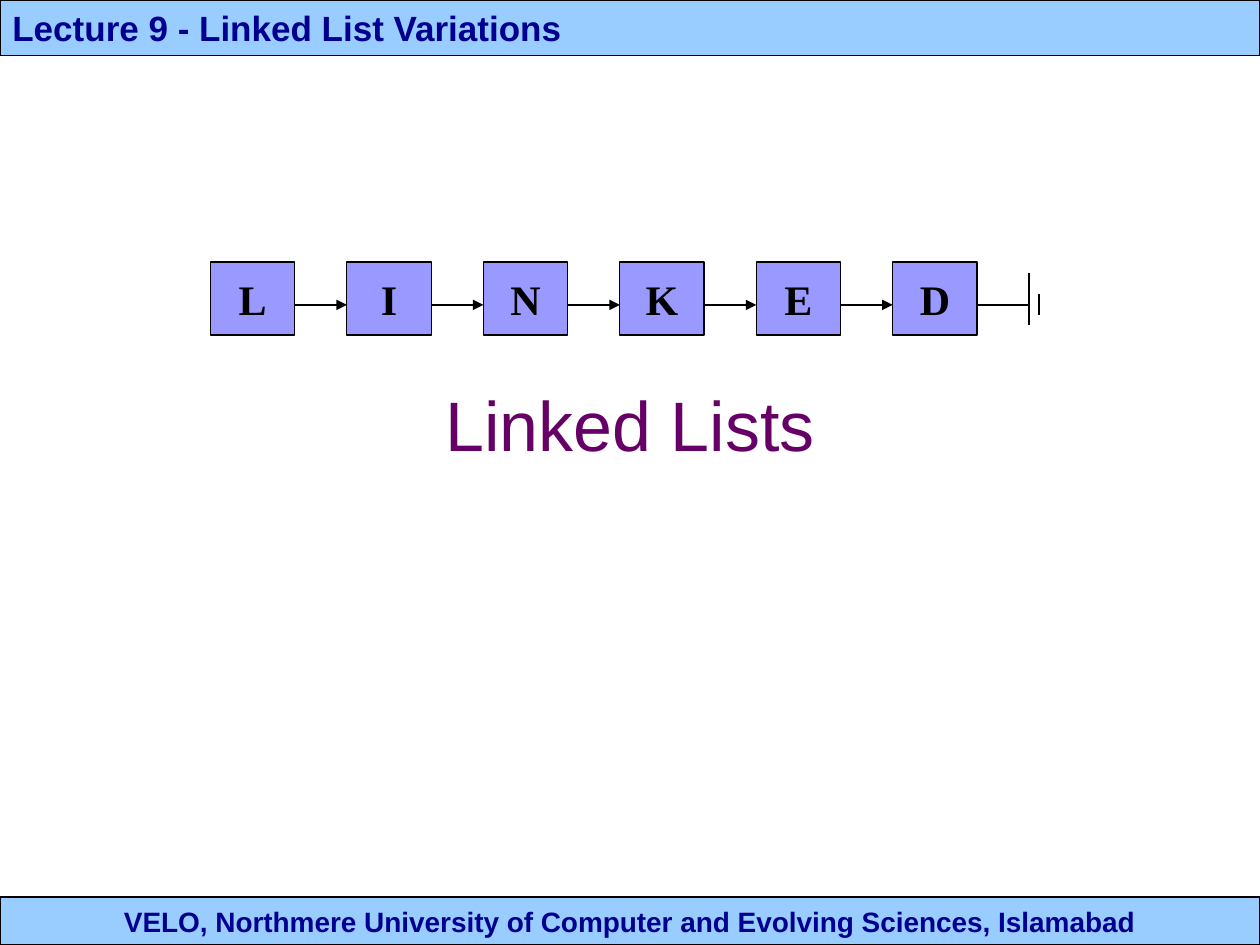
from dataclasses import dataclass

from lxml import etree
from pptx import Presentation
from pptx.dml.color import RGBColor
from pptx.enum import shapes, text
from pptx.oxml import ns
from pptx.util import Inches, Pt

BLACK = RGBColor(0x00, 0x00, 0x00)
NAVY = RGBColor(0x00, 0x00, 0x90)
SKY = RGBColor(0x99, 0xCC, 0xFF)
LILAC = RGBColor(0x99, 0x99, 0xFF)
PURPLE = RGBColor(0x66, 0x00, 0x66)

WORD = "LINKED"
NODE_X, NODE_Y, NODE_W, NODE_H = 1.67, 2.08, 0.67, 0.58
PITCH = 1.083
LINK_Y = 2.42
LINK_LEN = PITCH - NODE_W


@dataclass
class Style:
    size: int
    color: RGBColor
    font: str = "Arial"
    bold: bool = True
    align: text.PP_ALIGN = text.PP_ALIGN.CENTER


@dataclass
class Box:
    x: float
    y: float
    w: float
    h: float
    label: str
    style: Style
    fill: RGBColor
    wrap: bool = True


@dataclass
class Line:
    x1: float
    y1: float
    x2: float
    y2: float
    width: float = 1
    arrow: bool = False


def set_text(sp, label: str, style: Style, wrap: bool = True) -> None:
    tf = sp.text_frame
    tf.word_wrap = wrap
    tf.vertical_anchor = text.MSO_ANCHOR.MIDDLE
    tf.text = label
    p = tf.paragraphs[0]
    p.alignment = style.align
    font = p.runs[0].font
    font.name, font.size, font.bold = style.font, Pt(style.size), style.bold
    font.color.rgb = style.color


def draw_box(parent, box: Box) -> None:
    sp = parent.add_shape(
        shapes.MSO_SHAPE.RECTANGLE,
        Inches(box.x), Inches(box.y), Inches(box.w), Inches(box.h),
    )
    sp.shadow.inherit = False
    sp.fill.solid()
    sp.fill.fore_color.rgb = box.fill
    sp.line.color.rgb = BLACK
    sp.line.width = Pt(0.75)
    set_text(sp, box.label, box.style, box.wrap)


def draw_line(parent, line: Line) -> None:
    cn = parent.add_connector(
        shapes.MSO_CONNECTOR.STRAIGHT,
        Inches(line.x1), Inches(line.y1), Inches(line.x2), Inches(line.y2),
    )
    cn.line.color.rgb = BLACK
    cn.line.width = Pt(line.width)
    if line.arrow:
        ln = cn.line._get_or_add_ln()
        etree.SubElement(ln, ns.qn("a:tailEnd"), type="triangle")
    etree.SubElement(cn._element.spPr, ns.qn("a:effectLst"))


def draw_linked_list(parent) -> None:
    style = Style(24, BLACK, "Times New Roman")
    for i, letter in enumerate(WORD):
        x = NODE_X + i * PITCH
        last = i == len(WORD) - 1
        draw_box(parent, Box(x, NODE_Y, NODE_W, NODE_H, letter, style, LILAC, False))
        start = x + NODE_W
        draw_line(parent, Line(start, LINK_Y, start + LINK_LEN, LINK_Y,
                               1 if last else 0.75, not last))
    end = NODE_X + len(WORD) * PITCH
    draw_line(parent, Line(end, 2.17, end, 2.58))
    draw_line(parent, Line(end + 0.08, 2.33, end + 0.08, 2.5))


def main() -> None:
    prs = Presentation()
    prs.slide_width, prs.slide_height = Inches(10), Inches(7.5)
    s = prs.slides.add_slide(prs.slide_layouts[6])

    draw_box(s.shapes, Box(
        0, 7.12, 10, 0.38,
        "VELO, Northmere University of Computer and Evolving Sciences, Islamabad",
        Style(16, NAVY), SKY))
    draw_box(s.shapes, Box(
        0, 0, 10, 0.44, "Lecture 9 - Linked List Variations",
        Style(20, NAVY, align=text.PP_ALIGN.LEFT), SKY))

    title = s.shapes.add_textbox(Inches(0.75), Inches(2.56), Inches(8.5), Inches(1.61))
    set_text(title, "Linked Lists", Style(40, PURPLE, bold=False))

    draw_linked_list(s.shapes.add_group_shape().shapes)
    prs.save("out.pptx")


if __name__ == "__main__":
    main()
